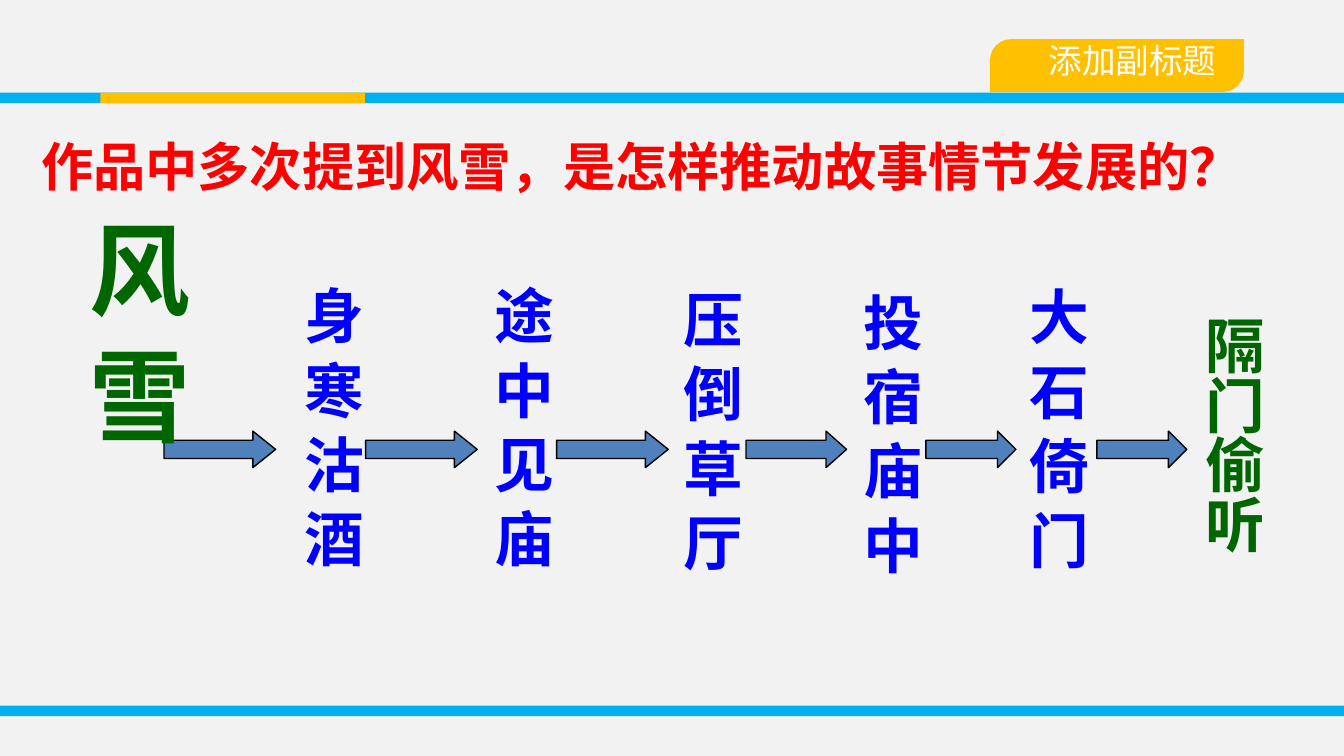
from lxml import etree
from pptx import Presentation
from pptx.dml.color import RGBColor
from pptx.enum import shapes, text
from pptx.oxml.ns import qn
from pptx.util import Cm, Pt

COLORS = {"bg": "F2F2F2", "bar": "00B0F0", "accent": "FFC000", "title": "FF0000",
          "arrow": "4F81BD", "line": "000000", "green": "006600",
          "blue": "0000FF", "white": "FFFFFF"}
CJK = "Noto Sans CJK SC"
SLIDE_W, SLIDE_H = 25.4, 14.29
BAR_H = 0.2

TITLE = "作品中多次提到风雪，是怎样推动故事情节发展的？"
SUBTITLE = "添加副标题"

# left, top, width, colour
BARS = [(0, 13.34, SLIDE_W, "bar"), (0, 1.75, SLIDE_W, "bar"), (1.9, 1.75, 5, "accent")]

# left, width
ARROWS = [(3.1, 2.11), (6.91, 2.11), (10.52, 2.11), (14.1, 1.9), (17.5, 1.7), (20.73, 1.7)]
ARROW_TOP, ARROW_H = 8.15, 0.69

# text, left, top, height
EVENTS = [("身 寒 沽 酒", 5.21, 5.16, 7.06),
          ("途 中 见 庙", 8.79, 5.16, 6.6),
          ("压 倒 草 厅", 12.37, 5.23, 6.88),
          ("投 宿 庙 中", 15.77, 5.28, 6.73),
          ("大 石 倚 门", 18.9, 5.18, 6.55)]
EVENT_W = 1.88


def rgb(name):
    return RGBColor.from_string(COLORS[name])


def add_shape(slide, kind, box, fill, line=None):
    sp = slide.shapes.add_shape(kind, *map(Cm, box))
    sp.shadow.inherit = False
    sp.fill.solid()
    sp.fill.fore_color.rgb = rgb(fill)
    if line:
        sp.line.color.rgb = rgb(line)
        sp.line.width = Pt(0.75)
    else:
        sp.line.fill.background()
    return sp


def write(sp, content, size, color, font="Arial", bold=True, vertical=False,
          align=text.PP_ALIGN.LEFT, anchor=text.MSO_ANCHOR.TOP, **margins):
    """Fill a shape with one paragraph; margins are left, top, right, bottom in cm."""
    tf = sp.text_frame
    tf.word_wrap = True
    tf.vertical_anchor = anchor
    for side, value in margins.items():
        setattr(tf, f"margin_{side}", Cm(value))
    if vertical:
        tf.auto_size = text.MSO_AUTO_SIZE.SHAPE_TO_FIT_TEXT
        sp.element.txBody.find(qn("a:bodyPr")).set("vert", "eaVert")
    p = tf.paragraphs[0]
    p.alignment = align
    r = p.add_run()
    r.text = content
    r.font.size = Pt(size)
    r.font.bold = bold
    r.font.color.rgb = rgb(color)
    r.font.name = font
    etree.SubElement(r.font._element, qn("a:ea")).set("typeface", CJK)


def add_text(slide, box, content, size, color, **style):
    write(slide.shapes.add_textbox(*map(Cm, box)), content, size, color, **style)


def main():
    prs = Presentation()
    prs.slide_width, prs.slide_height = Cm(SLIDE_W), Cm(SLIDE_H)
    s = prs.slides.add_slide(prs.slide_layouts[6])
    s.background.fill.solid()
    s.background.fill.fore_color.rgb = rgb("bg")
    kinds = shapes.MSO_SHAPE

    for left, top, width, color in BARS:
        add_shape(s, kinds.RECTANGLE, (left, top, width, BAR_H), color)

    tab = add_shape(s, kinds.ROUND_2_DIAG_RECTANGLE, (18.71, 0.74, 4.8, 1), "accent")
    tab.adjustments[0] = 0.4
    write(tab, SUBTITLE, 18, "white", bold=False, align=text.PP_ALIGN.RIGHT,
          anchor=text.MSO_ANCHOR.MIDDLE, top=0, right=0.4, bottom=0.2)

    add_text(s, (0.1, 2.54, 24.2, 1.8), TITLE, 28, "title", left=0.68, top=0)

    for left, width in ARROWS:
        arrow = add_shape(s, kinds.RIGHT_ARROW, (left, ARROW_TOP, width, ARROW_H),
                          "arrow", "line")
        arrow.adjustments[1] = width / ARROW_H / 4.9

    add_text(s, (1.02, 3.91, 2.82, 9.42), "风 雪", 54, "green", font=CJK, vertical=True)
    add_text(s, (22.23, 5.54, EVENT_W, 5.59), "隔门偷听", 32, "green", font=CJK,
             vertical=True, top=0.43)
    for content, left, top, height in EVENTS:
        add_text(s, (left, top, EVENT_W, height), content, 32, "blue", vertical=True)

    prs.save("out.pptx")


if __name__ == "__main__":
    main()
